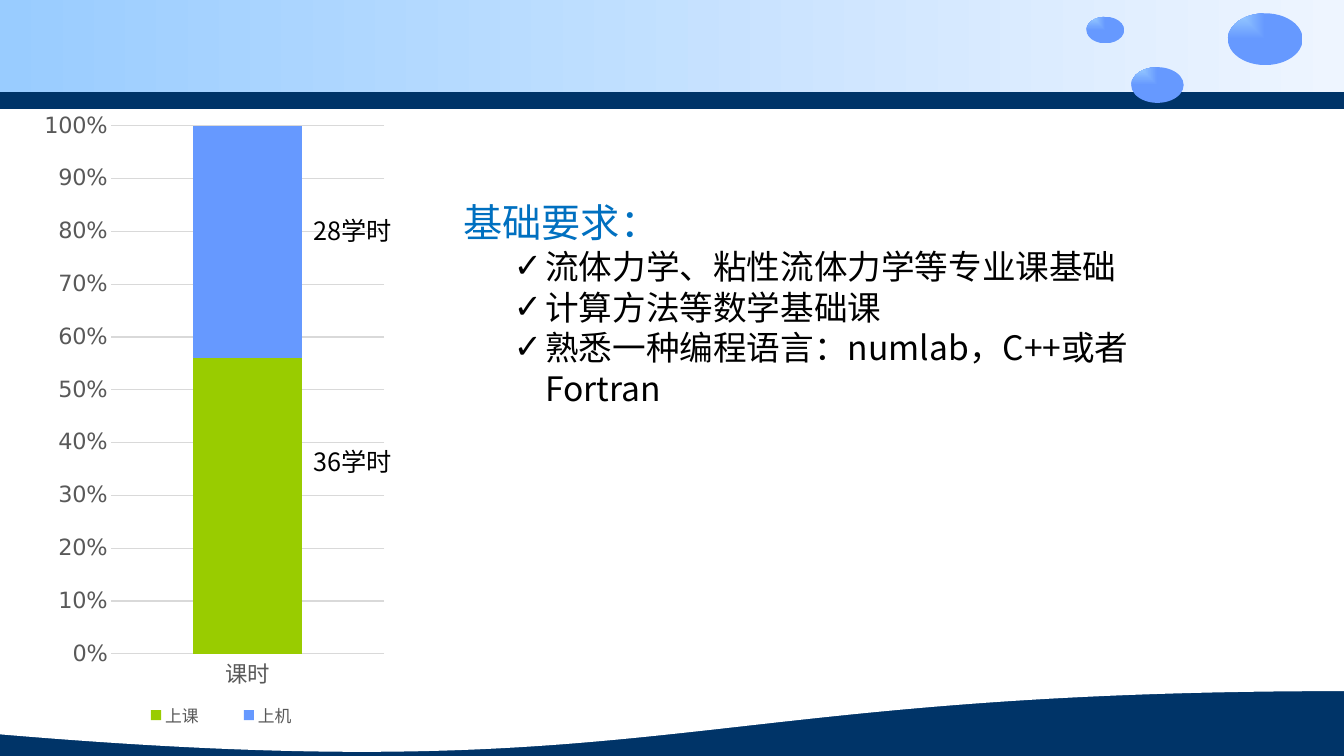
from dataclasses import dataclass

from lxml import etree
from pptx import Presentation
from pptx.chart.data import CategoryChartData
from pptx.dml.color import RGBColor
from pptx.enum.chart import XL_CHART_TYPE, XL_LEGEND_POSITION, XL_TICK_MARK
from pptx.enum.shapes import MSO_SHAPE
from pptx.oxml import parse_xml
from pptx.oxml.ns import nsdecls, qn
from pptx.util import Pt

RECT, DOCUMENT, OVAL = MSO_SHAPE.RECTANGLE, MSO_SHAPE.FLOWCHART_DOCUMENT, MSO_SHAPE.OVAL
STACKED_100 = XL_CHART_TYPE.COLUMN_STACKED_100
BOTTOM = XL_LEGEND_POSITION.BOTTOM
NO_TICK = XL_TICK_MARK.NONE


@dataclass(frozen=True)
class Theme:
    navy: str = "003468"
    white: str = "FFFFFF"
    sky: str = "99CCFF"
    pale: str = "EEF5FF"
    blue: str = "6699FF"
    green: str = "99CC00"
    heading: str = "0070C0"
    text: str = "000000"
    axis: str = "595959"
    grid: str = "D9D9D9"
    font: str = "Noto Sans CJK SC"
    chart_font: str = "DejaVu Sans"
    bullet_font: str = "DejaVu Sans"
    heading_size: int = 28
    body_size: int = 24
    label_size: int = 18
    axis_size: int = 16
    legend_size: int = 12
    leading: float = 1.21


def rgb(value):
    return RGBColor.from_string(value)


def set_font(font, name, size, color):
    font.name, font.size = name, Pt(size)
    font.color.rgb = rgb(color)


def layout_xml(box, target=""):
    """Manual chart layout, as fractions of the chart."""
    sizes = "".join(f'<c:{k} val="{v}"/>' for k, v in zip("xywh", box))
    return parse_xml(
        f'<c:layout {nsdecls("c")}><c:manualLayout>{target}'
        f'<c:xMode val="edge"/><c:yMode val="edge"/>{sizes}</c:manualLayout></c:layout>')


def write(p, text, *, font, size, color, leading,
          bullet=None, bullet_font=None, left=0, hanging=0):
    """Fill a paragraph with one formatted run."""
    if bullet:
        pPr = p._p.get_or_add_pPr()
        pPr.set("marL", str(Pt(left)))
        pPr.set("indent", str(-Pt(hanging)))
        etree.SubElement(pPr, qn("a:buFont")).set("typeface", bullet_font)
        etree.SubElement(pPr, qn("a:buChar")).set("char", bullet)
        p.level = 1
    p.line_spacing = Pt(round(size * leading, 1))
    r = p.add_run()
    r.text = text
    set_font(r.font, font, size, color)
    ea = parse_xml(f'<a:ea {nsdecls("a")} typeface="{font}"/>')
    r._r.rPr.find(qn("a:latin")).addnext(ea)


class SlideBuilder:
    def __init__(self, slide, theme):
        self.s, self.theme = slide, theme

    def background(self, color):
        fill = self.s.background.fill
        fill.solid()
        fill.fore_color.rgb = rgb(color)

    def shape(self, kind, box, *colors, corner=False):
        """One colour gives a solid fill, two give a gradient."""
        sp = self.s.shapes.add_shape(kind, *map(Pt, box))
        sp.shadow.inherit = False
        sp.line.fill.background()
        if len(colors) == 1:
            sp.fill.solid()
            sp.fill.fore_color.rgb = rgb(colors[0])
            return
        sp.fill.gradient()
        sp.fill.gradient_angle = 0
        for stop, color in zip(sp.fill.gradient_stops, colors):
            stop.color.rgb = rgb(color)
        if corner:
            grad = sp._element.spPr.find(qn("a:gradFill"))
            grad.replace(grad.find(qn("a:lin")), parse_xml(
                f'<a:path {nsdecls("a")} path="rect">'
                '<a:fillToRect r="100000" b="100000"/></a:path>'))

    def text(self, box, lines):
        """Lines are pairs of text and format."""
        tf = self.s.shapes.add_textbox(*map(Pt, box)).text_frame
        tf.word_wrap = True
        for i, (text, style) in enumerate(lines):
            p = tf.add_paragraph() if i else tf.paragraphs[0]
            write(p, text, font=self.theme.font, leading=self.theme.leading, **style)

    def stacked_chart(self, box, category, series, plot_box, legend_box):
        t = self.theme
        data = CategoryChartData()
        data.categories = [category]
        for name, value, _ in series:
            data.add_series(name, [value])
        chart = self.s.shapes.add_chart(STACKED_100, *map(Pt, box), data).chart
        chart.has_title = False
        set_font(chart.font, t.chart_font, 10, t.text)
        plot = chart.plots[0]
        plot.gap_width, plot.overlap = 150, 100
        plot.vary_by_categories = False
        for ser, (_, _, color) in zip(plot.series, series):
            ser.format.fill.solid()
            ser.format.fill.fore_color.rgb = rgb(color)

        # Axes and grid
        cat, val = chart.category_axis, chart.value_axis
        for axis in (cat, val):
            axis.major_tick_mark = axis.minor_tick_mark = NO_TICK
            set_font(axis.tick_labels.font, t.chart_font, t.axis_size, t.axis)
        val.format.line.fill.background()
        val.minimum_scale, val.maximum_scale, val.major_unit = 0, 1, 0.1
        val.tick_labels.number_format = "0%"
        val.tick_labels.number_format_is_linked = False
        for line in (cat.format.line, val.major_gridlines.format.line):
            line.color.rgb = rgb(t.grid)
            line.width = Pt(0.75)

        # Legend
        chart.has_legend = True
        legend = chart.legend
        legend.position = BOTTOM
        legend.include_in_layout = False
        set_font(legend.font, t.chart_font, t.legend_size, t.axis)
        for old in legend._element.findall(qn("c:layout")):
            legend._element.remove(old)
        legend._element.find(qn("c:legendPos")).addnext(layout_xml(legend_box))

        # Inner plot area
        area = chart._chartSpace.chart.plotArea
        for old in area.findall(qn("c:layout")):
            area.remove(old)
        area.insert(0, layout_xml(plot_box, '<c:layoutTarget val="inner"/>'))


def main():
    t = Theme()
    prs = Presentation()
    prs.slide_width, prs.slide_height = Pt(960), Pt(540)
    b = SlideBuilder(prs.slides.add_slide(prs.slide_layouts[6]), t)

    # Banner, white page with a wave at its foot, and bubbles
    b.background(t.navy)
    b.shape(RECT, (0, 0, 960, 66), t.sky, t.pale)
    b.shape(RECT, (0, 78, 960, 288), t.white)
    b.shape(DOCUMENT, (0, 306, 960, 234), t.white)
    for bubble in ((776, 12, 27, 19), (808, 48, 37.5, 25.5), (877, 9.5, 53.5, 37)):
        b.shape(OVAL, bubble, t.sky, t.blue, corner=True)

    # Requirements
    heading = dict(size=t.heading_size, color=t.heading)
    item = dict(size=t.body_size, color=t.text, bullet="✓",
                bullet_font=t.bullet_font, left=58.5, hanging=22.5)
    b.text((324, 138, 490, 192), [
        ("基础要求：", heading),
        ("流体力学、粘性流体力学等专业课基础", item),
        ("计算方法等数学基础课", item),
        ("熟悉一种编程语言：numlab，C++或者Fortran", item),
    ])

    # Class hours
    b.stacked_chart((26.5, 71.5, 253, 460), "课时",
                    [("上课", 56, t.green), ("上机", 44, t.blue)],
                    plot_box=(0.21, 0.04, 0.77, 0.82),
                    legend_box=(0.21, 0.93, 0.62, 0.05))
    label = dict(size=t.label_size, color=t.text)
    for top, hours in ((315, "36学时"), (150, "28学时")):
        b.text((217, top, 72, 29), [(hours, label)])

    prs.save("out.pptx")


if __name__ == "__main__":
    main()
